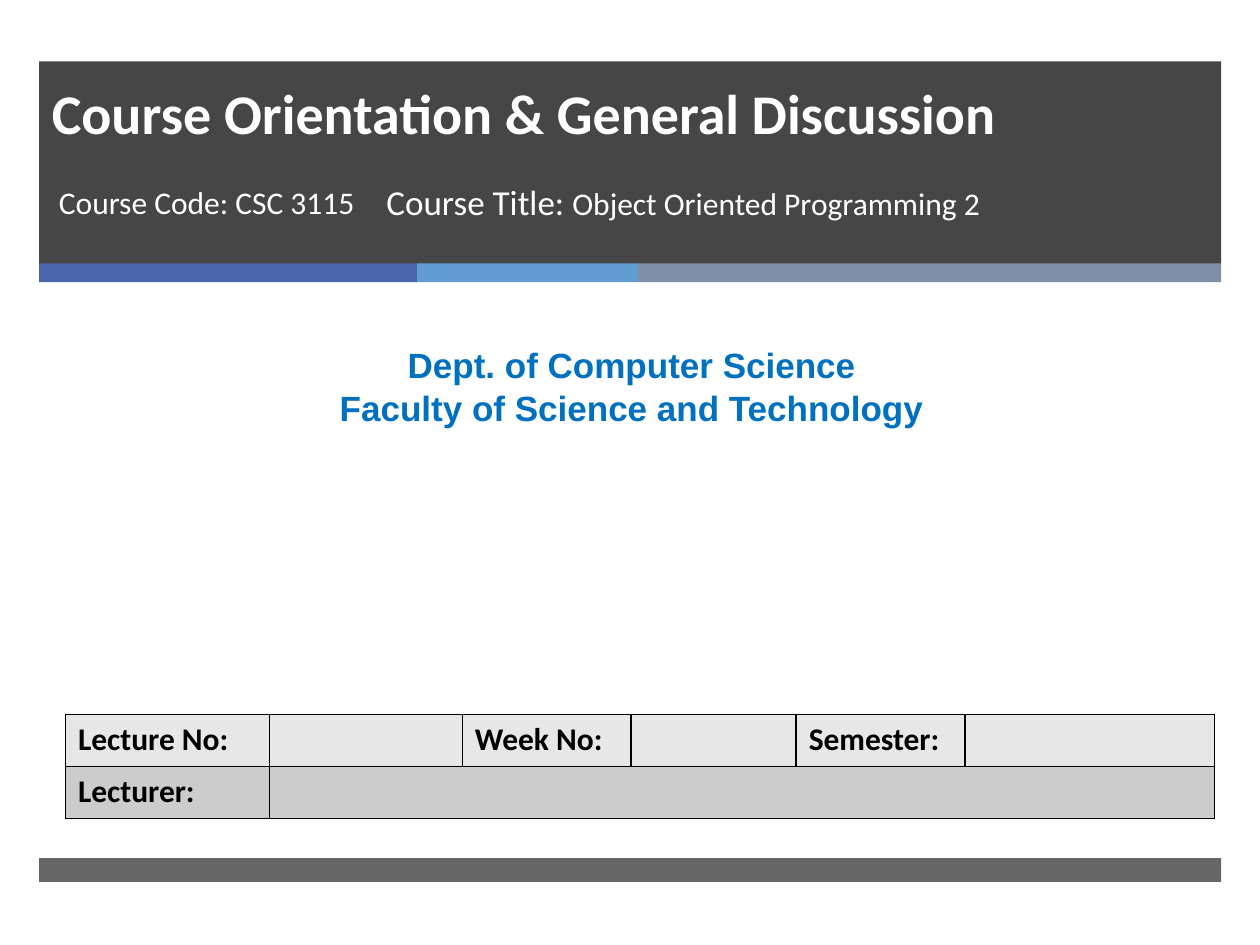
from lxml.etree import SubElement
from pptx import Presentation
from pptx.dml.color import RGBColor
from pptx.enum.shapes import MSO_SHAPE as Shape
from pptx.enum.text import MSO_ANCHOR as Anchor, PP_ALIGN as Align
from pptx.oxml.ns import qn
from pptx.util import Cm, Pt

LEFT, WIDTH = 0.79, 23.83


def set_color(color_format, color):
    color_format.rgb = RGBColor.from_string(color)


def set_fill(fill, color, opacity=100):
    fill.solid()
    set_color(fill.fore_color, color)
    if opacity < 100:
        for node in fill.fore_color._xFill.iter(qn("a:srgbClr")):
            SubElement(node, qn("a:alpha"), val=str(opacity * 1000))


def set_font(font, size, color, name="Calibri", bold=False):
    font.size, font.name, font.bold = Pt(size), name, bold
    set_color(font.color, color)


def add_bar(slide, left, top, width, height, color, opacity=100):
    bar = slide.shapes.add_shape(Shape.RECTANGLE, Cm(left), Cm(top), Cm(width), Cm(height))
    bar.shadow.inherit = False
    bar.line.fill.background()
    set_fill(bar.fill, color, opacity)


def fill_placeholder(placeholder, box, text, size, bold, anchor):
    # Bring the placeholder in front of the bars
    placeholder.element.getparent().append(placeholder.element)
    placeholder.left, placeholder.top, placeholder.width, placeholder.height = map(Cm, box)
    frame = placeholder.text_frame
    frame.text = text
    frame.vertical_anchor = anchor
    paragraph = frame.paragraphs[0]
    paragraph.alignment = Align.LEFT
    paragraph.space_before = Pt(0)
    set_font(paragraph.font, size, "FFFFFF", bold=bold)


def add_text_frame(slide, left, top, width, height):
    frame = slide.shapes.add_textbox(Cm(left), Cm(top), Cm(width), Cm(height)).text_frame
    frame.word_wrap = True
    return frame


def add_borders(cell, color="000000"):
    properties = cell._tc.get_or_add_tcPr()
    for side in ("lnL", "lnR", "lnT", "lnB"):
        line = SubElement(properties, qn(f"a:{side}"), w=str(Pt(1)))
        SubElement(SubElement(line, qn("a:solidFill")), qn("a:srgbClr"), val=color)


def add_lecture_table(slide):
    widths = [4.11, 3.89, 3.4, 3.33, 3.4, 5.03]
    rows = [
        ("E7E7E7", ["Lecture No:", "", "Week No:", "", "Semester:", ""]),
        ("CCCCCC", ["Lecturer:", "", "", "", "", ""]),
    ]
    row_height = 1.05
    table = slide.shapes.add_table(
        len(rows), len(widths), Cm(1.32), Cm(14.4),
        Cm(sum(widths)), Cm(row_height * len(rows))).table
    for column, width in zip(table.columns, widths):
        column.width = Cm(width)
    for row, (color, texts) in enumerate(rows):
        table.rows[row].height = Cm(row_height)
        for column, text in enumerate(texts):
            cell = table.cell(row, column)
            cell.text = text
            set_font(cell.text_frame.paragraphs[0].font, 18, "000000", bold=True)
            add_borders(cell)
            set_fill(cell.fill, color)
    table.cell(1, 1).merge(table.cell(1, 5))


def main():
    presentation = Presentation()
    presentation.slide_width, presentation.slide_height = Cm(25.4), Cm(19.05)
    slide = presentation.slides.add_slide(presentation.slide_layouts[0])

    # Header, colour stripe and footer
    add_bar(slide, LEFT, 1.24, WIDTH, 4.08, "262626", 85)
    left = LEFT
    for width, color in [(7.62, "4A66AC"), (4.45, "629DD1"), (11.76, "7F8FA9")]:
        add_bar(slide, left, 5.31, width, 0.38, color)
        left += width
    add_bar(slide, LEFT, 17.3, WIDTH, 0.48, "262626", 70)

    # Title and course code
    fill_placeholder(slide.shapes.title, (LEFT, 1.65, 22.07, 1.42),
                     "Course Orientation & General Discussion", 32, True, Anchor.BOTTOM)
    fill_placeholder(slide.placeholders[1], (LEFT, 3.56, 6.76, 1.96),
                     " Course Code: CSC 3115", 18, False, Anchor.TOP)

    # Department
    department = add_text_frame(slide, 0.2, 6.81, 25.07, 1.96)
    department.text = "Dept. of Computer Science\nFaculty of Science and Technology"
    for paragraph in department.paragraphs:
        paragraph.alignment = Align.CENTER
        set_font(paragraph.font, 20, "0070C0", "Arial", True)

    add_lecture_table(slide)

    # Course title
    paragraph = add_text_frame(slide, 7.54, 3.51, 13.26, 1.96).paragraphs[0]
    for text, size in [("Course Title: ", 20), ("Object Oriented Programming 2", 18)]:
        run = paragraph.add_run()
        run.text = text
        set_font(run.font, size, "FFFFFF")

    presentation.save("out.pptx")


main()
